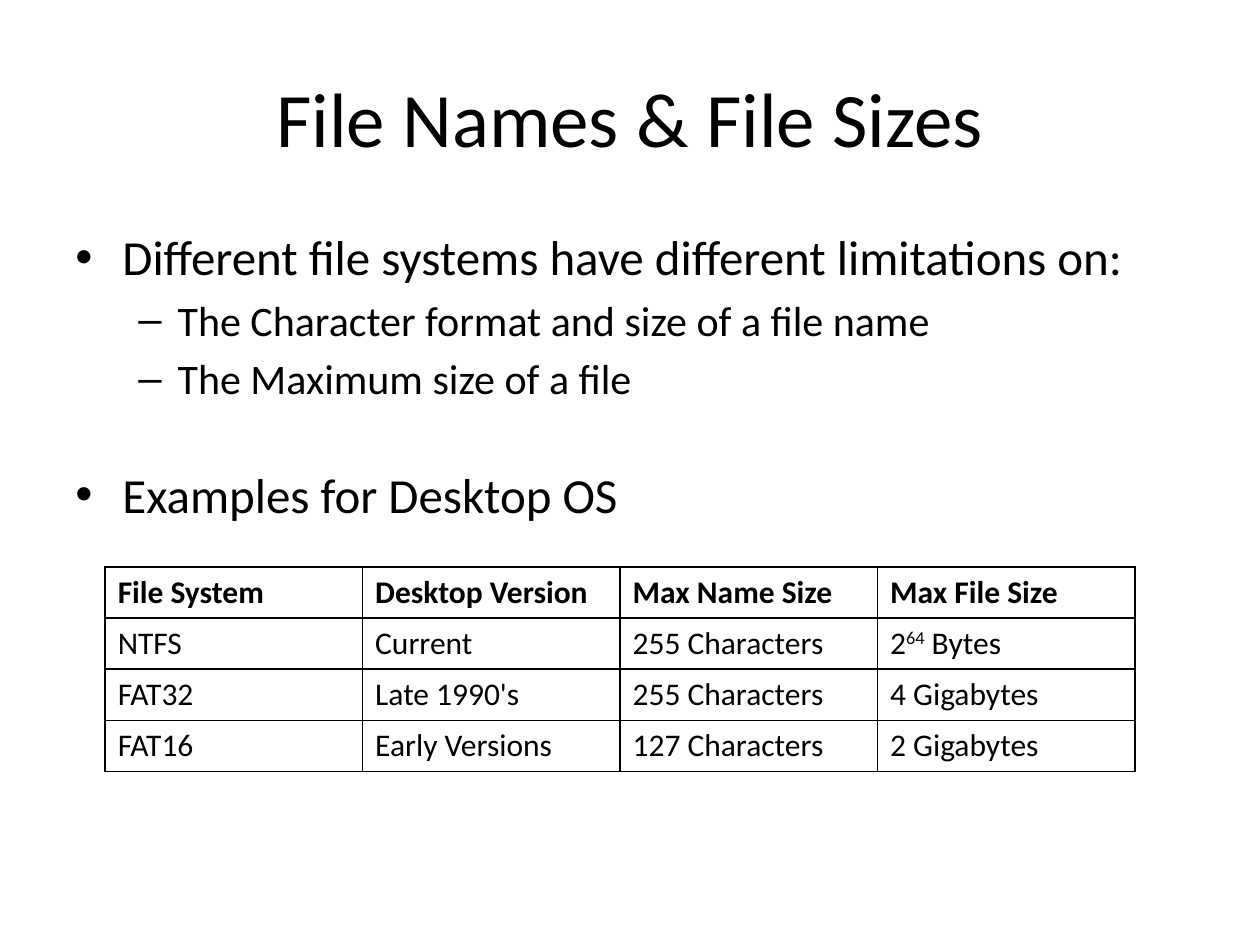
from lxml import etree
from pptx import Presentation
from pptx import util as u
from pptx.dml import color
from pptx.enum import text
from pptx.oxml import ns

Cm, Pt = u.Cm, u.Pt
hues = {"ink": "000000", "paper": "FFFFFF"}
ink = color.RGBColor.from_string(hues["ink"])


def style(font, size, bold=False):
    for key, val in {"name": "Calibri", "size": Pt(size), "bold": bold}.items():
        setattr(font, key, val)
    font.color.rgb = ink


def add(node, tag, **attrs):
    return etree.SubElement(node, ns.qn(tag), **attrs)


deck = Presentation()
deck.slide_width, deck.slide_height = Cm(25.4), Cm(19.05)
slide = deck.slides.add_slide(deck.slide_layouts[6])
slide.background.fill.solid()
slide.background.fill.fore_color.rgb = color.RGBColor.from_string(hues["paper"])

# Title
box = slide.shapes.add_textbox(Cm(1.27), Cm(0.76), Cm(22.86), Cm(3.18))
frame = box.text_frame
frame.word_wrap = True
frame.vertical_anchor = text.MSO_ANCHOR.MIDDLE
para = frame.paragraphs[0]
para.text = "File Names & File Sizes"
para.alignment = text.PP_ALIGN.CENTER
style(para.font, 44)

# Bullets: text, level, space before in points
points = [
    ("Different file systems have different limitations on:", 0, 0),
    ("The Character format and size of a file name", 1, 4.8),
    ("The Maximum size of a file", 1, 4.8),
    ("Examples for Desktop OS", 0, 35),
]
# Level formats: bullet, size, left margin, hang
levels = [("•", 28, 0.95, 0.95), ("–", 24, 2.06, 0.79)]
box = slide.shapes.add_textbox(Cm(1.27), Cm(4.45), Cm(22.86), Cm(12.57))
frame = box.text_frame
frame.word_wrap = True
for num, (line, level, gap) in enumerate(points):
    para = frame.add_paragraph() if num else frame.paragraphs[0]
    mark, size, left, hang = levels[level]
    para.text, para.level = line, level
    props = para._p.get_or_add_pPr()
    props.set("marL", str(Cm(left)))
    props.set("indent", str(-Cm(hang)))
    add(props, "a:buFont", typeface="Arial")
    add(props, "a:buChar", char=mark)
    para.space_before = Pt(gap)
    style(para.font, size)

# Table: "^" sets off a raised part
rows = [
    ["File System", "Desktop Version", "Max Name Size", "Max File Size"],
    ["NTFS", "Current", "255 Characters", "2^64^ Bytes"],
    ["FAT32", "Late 1990's", "255 Characters", "4 Gigabytes"],
    ["FAT16", "Early Versions", "127 Characters", "2 Gigabytes"],
]
wide, high = Cm(5.19), Cm(1.03)
table = slide.shapes.add_table(
    len(rows), len(rows[0]), Cm(2.12), Cm(11.43), wide * 4, high * 4).table
table.horz_banding = False
table.first_row = False
for col in table.columns:
    col.width = wide
for r, row in enumerate(rows):
    table.rows[r].height = high
    for c, words in enumerate(row):
        cell = table.cell(r, c)
        props = cell._tc.get_or_add_tcPr()
        for side in "LRTB":
            edge = add(props, "a:ln" + side, w=str(Pt(1)))
            add(add(edge, "a:solidFill"), "a:srgbClr", val=hues["ink"])
        cell.fill.background()
        para = cell.text_frame.paragraphs[0]
        for k, part in enumerate(words.split("^")):
            run = para.add_run()
            run.text = part
            style(run.font, 18, bold=r == 0)
            if k % 2:
                run._r.get_or_add_rPr().set("baseline", "30000")

deck.save("out.pptx")
